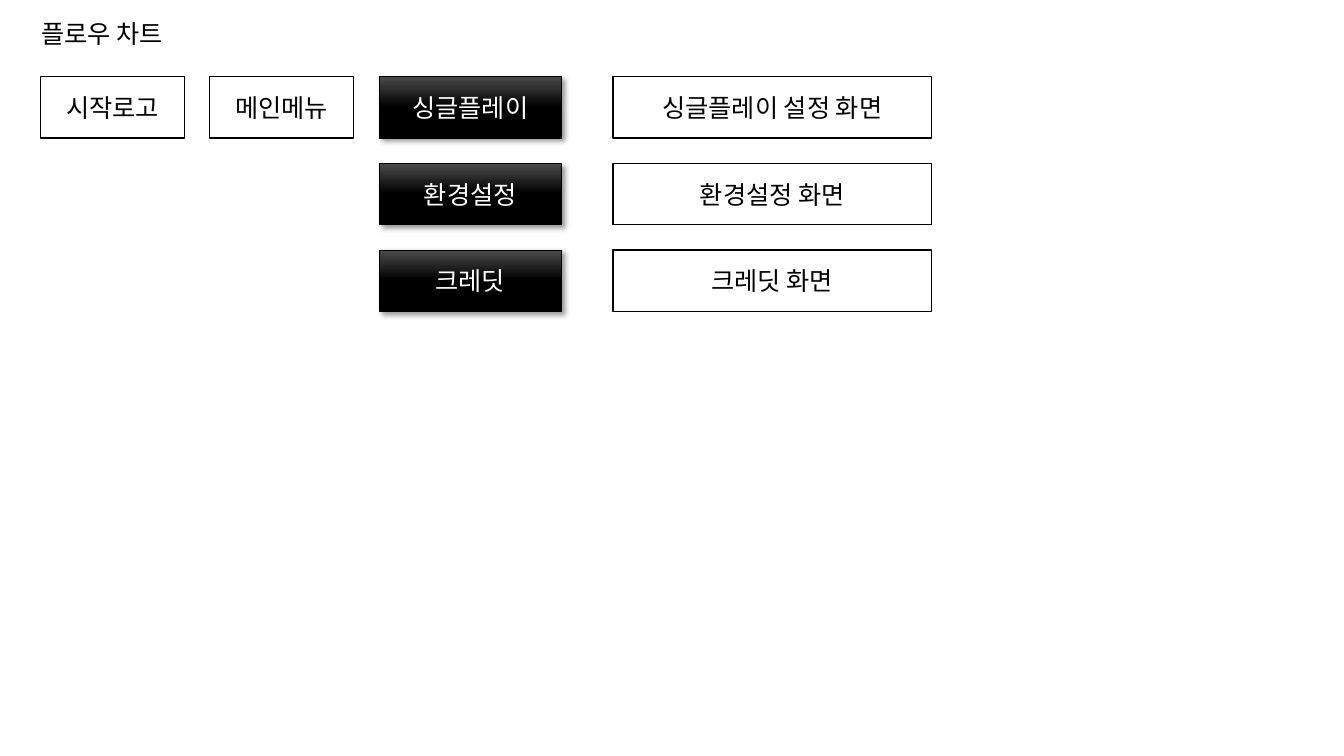
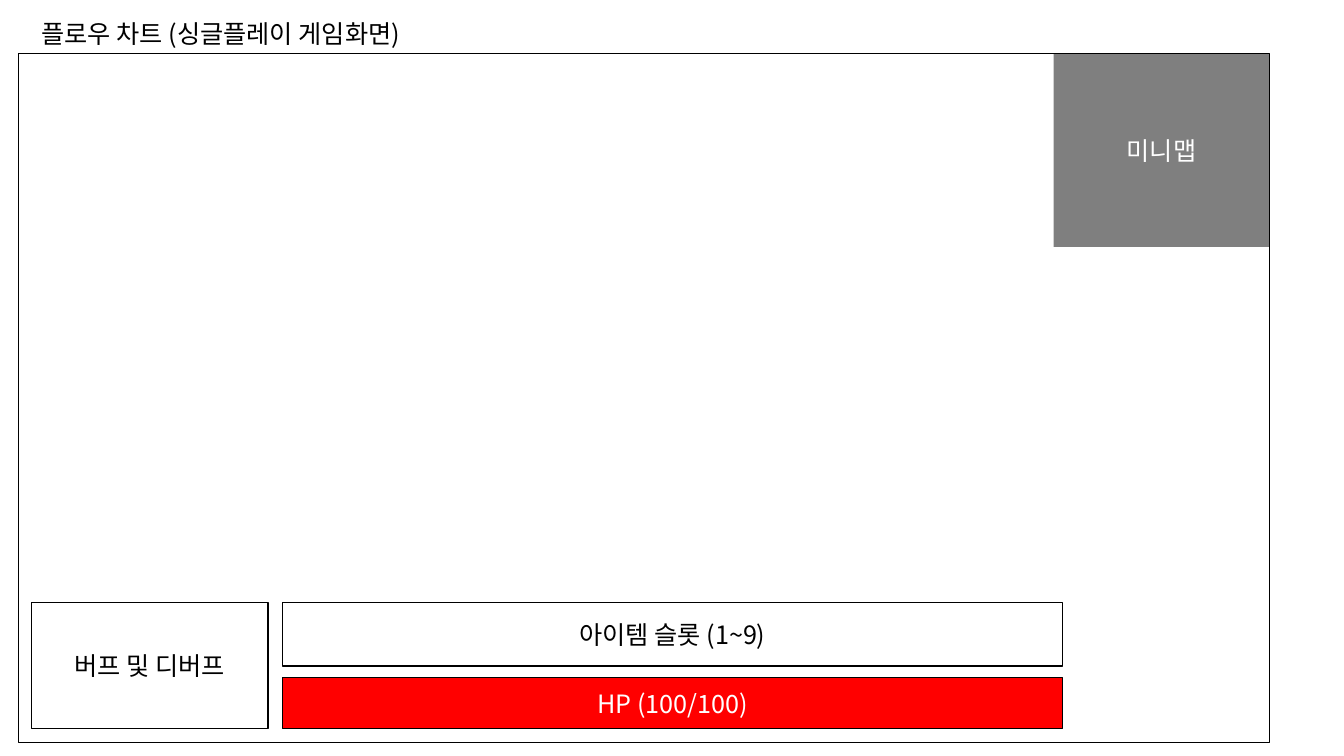
"""Game flow chart: menu flow and the single-play screen layout."""
from lxml import etree
from pptx import Presentation
from pptx.dml.color import RGBColor
from pptx.enum.shapes import MSO_SHAPE
from pptx.enum.text import MSO_ANCHOR, MSO_AUTO_SIZE, PP_ALIGN
from pptx.oxml.ns import qn
from pptx.util import Inches, Pt

FONT = "Noto Sans CJK KR"
C = {"black": "000000", "white": "FFFFFF", "red": "FF0000", "sheen": "4B4B4B"}


def write(sp, text, color, align):
    tf = sp.text_frame
    tf.text = text
    p = tf.paragraphs[0]
    p.alignment = align
    r = p.runs[0]
    r.font.size = Pt(18)
    r.font.name = FONT
    r.font.color.rgb = RGBColor.from_string(C[color])
    etree.SubElement(r.font._element, qn("a:ea"), typeface=FONT)


def add_box(slide, at, text="", fill=None, color="black", line=1):
    sp = slide.shapes.add_shape(MSO_SHAPE.RECTANGLE, *map(Inches, at))
    sp.shadow.inherit = False
    if fill:
        sp.fill.solid()
        sp.fill.fore_color.rgb = RGBColor.from_string(C[fill])
    else:
        sp.fill.background()
    if line:
        sp.line.color.rgb = RGBColor.from_string(C["black"])
        sp.line.width = Pt(line)
    else:
        sp.line.fill.background()
    if text:
        sp.text_frame.vertical_anchor = MSO_ANCHOR.MIDDLE
        write(sp, text, color, PP_ALIGN.CENTER)
    return sp


prs = Presentation()
prs.slide_width, prs.slide_height = Inches(13.33), Inches(7.5)

slides = []
for text, width in [("플로우 차트", 2.61), ("플로우 차트 (싱글플레이 게임화면)", 5.16)]:
    slide = prs.slides.add_slide(prs.slide_layouts[5])
    title = slide.shapes.title
    title.left, title.top = Inches(0.31), Inches(0.13)
    title.width, title.height = Inches(width), Inches(0.4)
    tf = title.text_frame
    tf.word_wrap = True
    tf.auto_size = MSO_AUTO_SIZE.SHAPE_TO_FIT_TEXT
    tf.vertical_anchor = MSO_ANCHOR.TOP
    write(title, text, "black", PP_ALIGN.LEFT)
    slides.append(slide)
flow, game = slides

TOP, PITCH, BOX_H = 0.76, 0.86, 0.61
for i, text in enumerate(["시작로고", "메인메뉴"]):
    add_box(flow, (0.4 + i * 1.68, TOP, 1.43, BOX_H), text, "white")

for i, text in enumerate(["싱글플레이", "환경설정", "크레딧"]):
    y = TOP + i * PITCH
    button = add_box(flow, (3.76, y, 1.81, BOX_H), text, "black", "white", 0.5)
    button.fill.gradient()
    button.fill.gradient_angle = 270
    for stop, color, position in zip(button.fill.gradient_stops, ["sheen", "black"], [0, 0.5]):
        stop.color.rgb = RGBColor.from_string(C[color])
        stop.position = position
    effects = button._element.spPr.find(qn("a:effectLst"))
    shadow = etree.SubElement(effects, qn("a:outerShdw"), blurRad=str(Pt(4)),
                              dist=str(Pt(3)), dir="2700000", algn="tl", rotWithShape="0")
    shade = etree.SubElement(shadow, qn("a:srgbClr"), val=C["black"])
    etree.SubElement(shade, qn("a:alpha"), val="40000")
    screen = "싱글플레이 설정 화면" if i == 0 else f"{text} 화면"
    add_box(flow, (6.08, y, 3.16, BOX_H), screen, "white")

minimap = add_box(game, (10.45, 0.53, 2.14, 1.92), "미니맵", "black", "white", None)
tint = minimap._element.spPr.find(qn("a:solidFill")).find(qn("a:srgbClr"))
etree.SubElement(tint, qn("a:alpha"), val="50000")
add_box(game, (2.8, 6.72, 7.74, 0.51), "HP (100/100)", "red", "white")
add_box(game, (0.31, 5.98, 2.35, 1.25), "버프 및 디버프", "white")
add_box(game, (0.18, 0.53, 12.41, 6.84), line=0.75)
add_box(game, (2.8, 5.98, 7.74, 0.63), "아이템 슬롯 (1~9)", "white")

prs.save("out.pptx")
